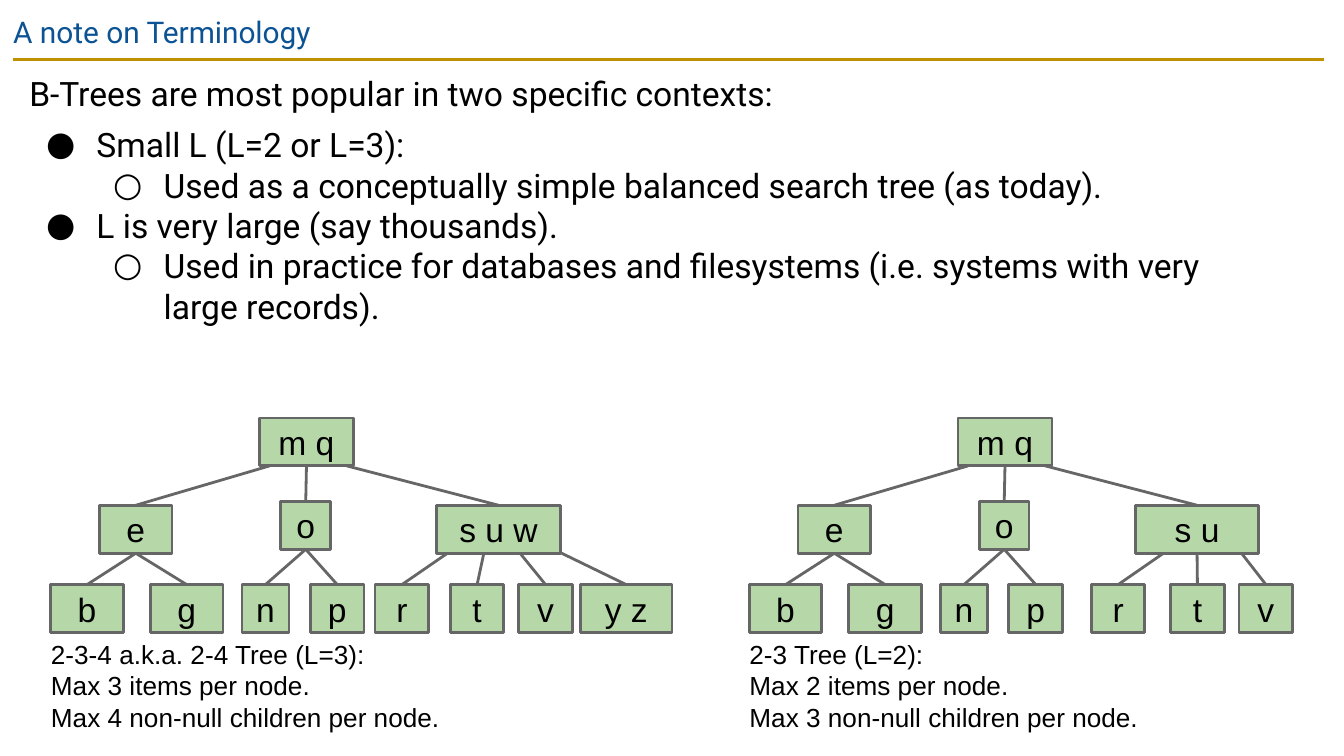
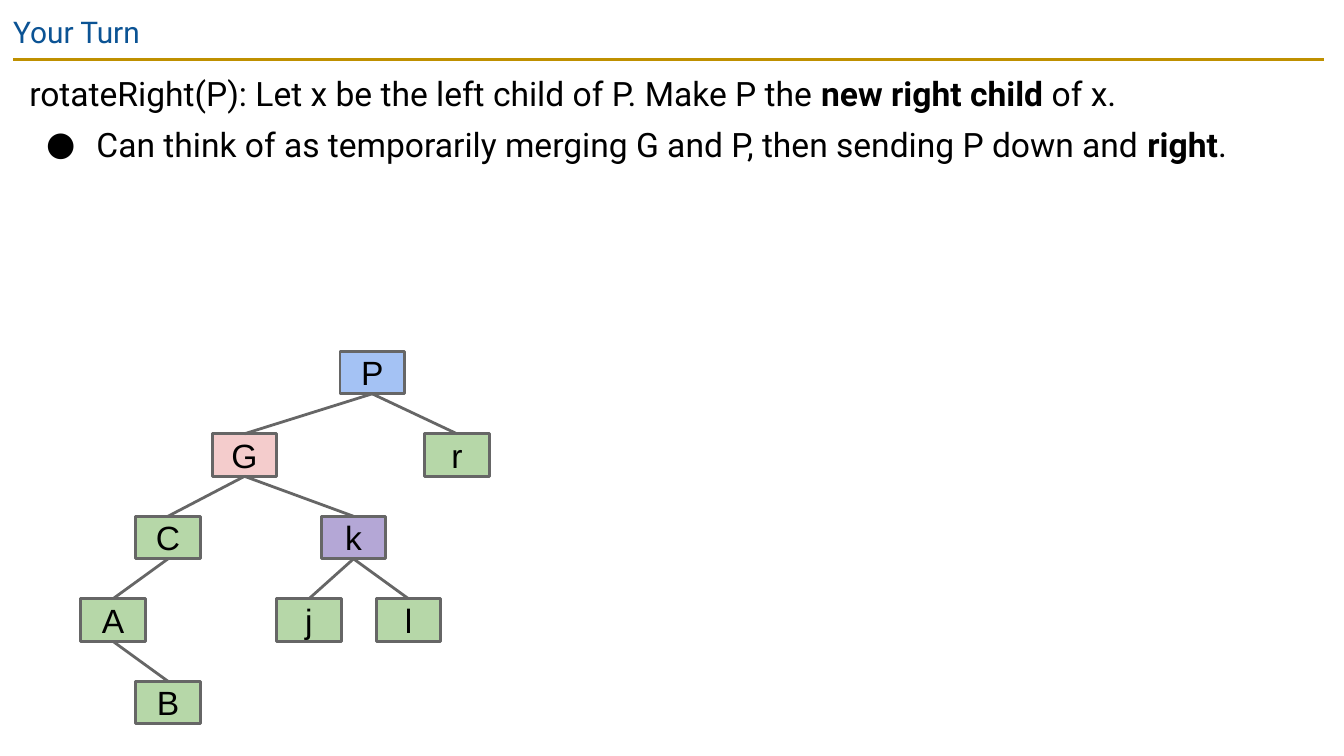
from lxml import etree
from pptx import Presentation
from pptx import util as u
from pptx.dml.color import RGBColor
from pptx.enum import shapes, text
from pptx.oxml.ns import qn

COLORS = {
    "title": "0B5394", "rule": "BF9000", "ink": "000000", "edge": "666666",
    "green": "B6D7A8", "purple": "B4A7D6", "pink": "F4CCCC", "blue": "A4C2F4",
}
BULLETS = {1: "●", 2: "○"}

# B-trees: node -> (left from the tree's edge, top, width)
NODE_HEIGHT = 25.7
LEAF_TOP = 313.2
SHARED_NODES = {
    "m q": (111.8, 223.9, 50.4),
    "e": (26.1, 270.7, 38.9), "o": (123.3, 268.6, 26.6),
    "b": (0, LEAF_TOP, 38.9), "g": (53.4, LEAF_TOP, 38.9),
    "n": (102.4, LEAF_TOP, 25.2), "p": (139.1, LEAF_TOP, 28.8),
}
# Edges: (parent, child, shift of the parent's end from its middle)
SHARED_EDGES = [
    ("m q", "e", -19.8), ("m q", "o", 0),
    ("e", "b", 0), ("e", "g", 0), ("o", "n", 0), ("o", "p", 0),
]
RIGHT_NODE = (206.8, 270.7, 66.2)

# Binary tree: node -> (centre, row, colour)
BINARY_SIZE = (34.6, 22.8)
BINARY_TOP, BINARY_PITCH = 188.2, 44.2
BINARY_NODES = {
    "P": (199.4, 0, "blue"), "G": (131, 1, "pink"), "r": (244.8, 1, "green"),
    "C": (90, 2, "green"), "k": (189.4, 2, "purple"),
    "A": (60.5, 3, "green"), "j": (165.5, 3, "green"),
    "l": (218.9, 3, "green"), "B": (90, 4, "green"),
}
BINARY_EDGES = ["PG", "Pr", "GC", "Gk", "CA", "kj", "kl", "AB"]


def rgb(name):
    return RGBColor.from_string(COLORS[name])


def add_bullet(paragraph, level):
    paragraph.level = level - 1
    props = paragraph._p.get_or_add_pPr()
    props.set("marL", str(u.Pt(36 * level)))
    props.set("indent", str(u.Pt(-27)))
    color = etree.SubElement(props, qn("a:buClr"))
    etree.SubElement(color, qn("a:srgbClr"), val=COLORS["ink"])
    etree.SubElement(props, qn("a:buFont"), typeface="Roboto")
    etree.SubElement(props, qn("a:buChar"), char=BULLETS[level])


def write(frame, lines, font="Arial", size=18, color="ink", align=None,
          anchor=text.MSO_ANCHOR.TOP):
    """Fill a frame with (text, bullet level, space before); ** marks bold, \\v a break."""
    frame.word_wrap = True
    frame.vertical_anchor = anchor
    frame.margin_left = frame.margin_right = u.Pt(7.2)
    frame.margin_top = frame.margin_bottom = u.Pt(7.2)
    for i, (content, level, before) in enumerate(lines):
        paragraph = frame.add_paragraph() if i else frame.paragraphs[0]
        if level:
            add_bullet(paragraph, level)
        if before:
            paragraph.space_before = u.Pt(before)
        if align is not None:
            paragraph.alignment = align
        for j, piece in enumerate(content.split("**")):
            for k, part in enumerate(piece.split("\v")):
                if k:
                    paragraph.add_line_break()
                run = paragraph.add_run()
                run.text = part
                run.font.name, run.font.size = font, u.Pt(size)
                run.font.bold = j % 2 == 1
                run.font.color.rgb = rgb(color)


def add_text(slide, box, lines, **style):
    label = slide.shapes.add_textbox(*map(u.Pt, box))
    write(label.text_frame, lines, **style)


def add_line(parts, start, end, color="edge"):
    line = parts.add_connector(shapes.MSO_CONNECTOR.STRAIGHT,
                               *map(u.Pt, (*start, *end)))
    line.line.color.rgb = rgb(color)
    line.line.width = u.Pt(1.5)
    etree.SubElement(line._element.spPr, qn("a:effectLst"))
    return line


def add_node(parts, label, box, color="green"):
    node = parts.add_shape(shapes.MSO_SHAPE.RECTANGLE, *map(u.Pt, box))
    node.shadow.inherit = False
    node.fill.solid()
    node.fill.fore_color.rgb = rgb(color)
    node.line.color.rgb = rgb("edge")
    node.line.width = u.Pt(1.5)
    write(node.text_frame, [(label, 0, 0)], align=text.PP_ALIGN.CENTER,
          anchor=text.MSO_ANCHOR.MIDDLE)
    return node


def add_edge(parts, parent, child, shift=0):
    """Join a child's top to its parent's bottom, off the middle by shift."""
    start = ((child.left + child.width / 2) / u.Pt(1), child.top / u.Pt(1))
    end = ((parent.left + parent.width / 2) / u.Pt(1) + shift,
           (parent.top + parent.height) / u.Pt(1))
    edge = add_line(parts, start, end)
    edge.begin_connect(child, 0)
    if not shift:
        edge.end_connect(parent, 2)


def add_b_tree(slide, left, right_label, right_leaves, caption):
    """right_leaves: (label, left, width, shift of the edge)."""
    add_text(slide, (left - 7, 334.8, 226, 70.6),
             [(line, 0, 0) for line in caption], size=14)
    places = {**SHARED_NODES, right_label: RIGHT_NODE}
    edges = SHARED_EDGES + [("m q", right_label, 21.6)]
    for label, x, width, shift in right_leaves:
        places[label] = (x, LEAF_TOP, width)
        edges.append((right_label, label, shift))
    parts = slide.shapes.add_group_shape().shapes
    nodes = {label: add_node(parts, label, (left + x, top, width, NODE_HEIGHT))
             for label, (x, top, width) in places.items()}
    for parent, child, shift in edges:
        add_edge(parts, nodes[parent], nodes[child], shift)


def add_binary_tree(slide):
    width, height = BINARY_SIZE
    nodes = {}
    for label, (centre, row, color) in BINARY_NODES.items():
        box = (centre - width / 2, BINARY_TOP + row * BINARY_PITCH, width, height)
        nodes[label] = add_node(slide.shapes, label, box, color)
    for parent, child in BINARY_EDGES:
        add_edge(slide.shapes, nodes[parent], nodes[child])


def add_slide(deck, title, body):
    slide = deck.slides.add_slide(deck.slide_layouts[6])
    add_line(slide.shapes, (7.2, 31.8), (709.2, 31.8), "rule")
    add_text(slide, (0, 0, 671, 31), [(title, 0, 0)],
             font="Roboto", size=16, color="title")
    add_text(slide, (8.6, 31.8, 671, 269.3), body, font="Roboto")
    return slide


def main():
    deck = Presentation()
    deck.slide_width, deck.slide_height = u.Pt(720), u.Pt(405)

    # Terminology: two B-trees side by side
    terms = add_slide(deck, "A note on Terminology", [
        ("B-Trees are most popular in two specific contexts:", 0, 0),
        ("Small L (L=2 or L=3):", 1, 6),
        ("Used as a conceptually simple balanced search tree (as today).", 2, 0),
        ("L is very large (say thousands).", 1, 0),
        ("Used in practice for databases and filesystems "
         "(i.e. systems with very large records).", 2, 0),
    ])
    add_b_tree(
        terms, 27.2, "s u w",
        [("r", 173.7, 28.8, -27.4), ("t", 214, 28.8, -7.9),
         ("v", 250.7, 28.8, 11.5), ("y z", 283.8, 49, 33.8)],
        ["2-3-4 a.k.a. 2-4 Tree (L=3):\vMax 3 items per node.",
         "Max 4 non-null children per node."])
    add_b_tree(
        terms, 401.4, "s u",
        [("r", 183.2, 28.8, -18), ("t", 225.7, 28.8, 0), ("v", 262.4, 28.8, 23.8)],
        ["2-3 Tree (L=2):\vMax 2 items per node.",
         "Max 3 non-null children per node."])

    # Exercise: rotate a binary tree
    turn = add_slide(deck, "Your Turn", [
        ("rotateRight(P): Let x be the left child of P. "
         "Make P the **new right child **of x.", 0, 0),
        ("Can think of as temporarily merging G and P, "
         "then sending P down and **right**.", 1, 6),
    ])
    add_binary_tree(turn)

    deck.save("out.pptx")


if __name__ == "__main__":
    main()
